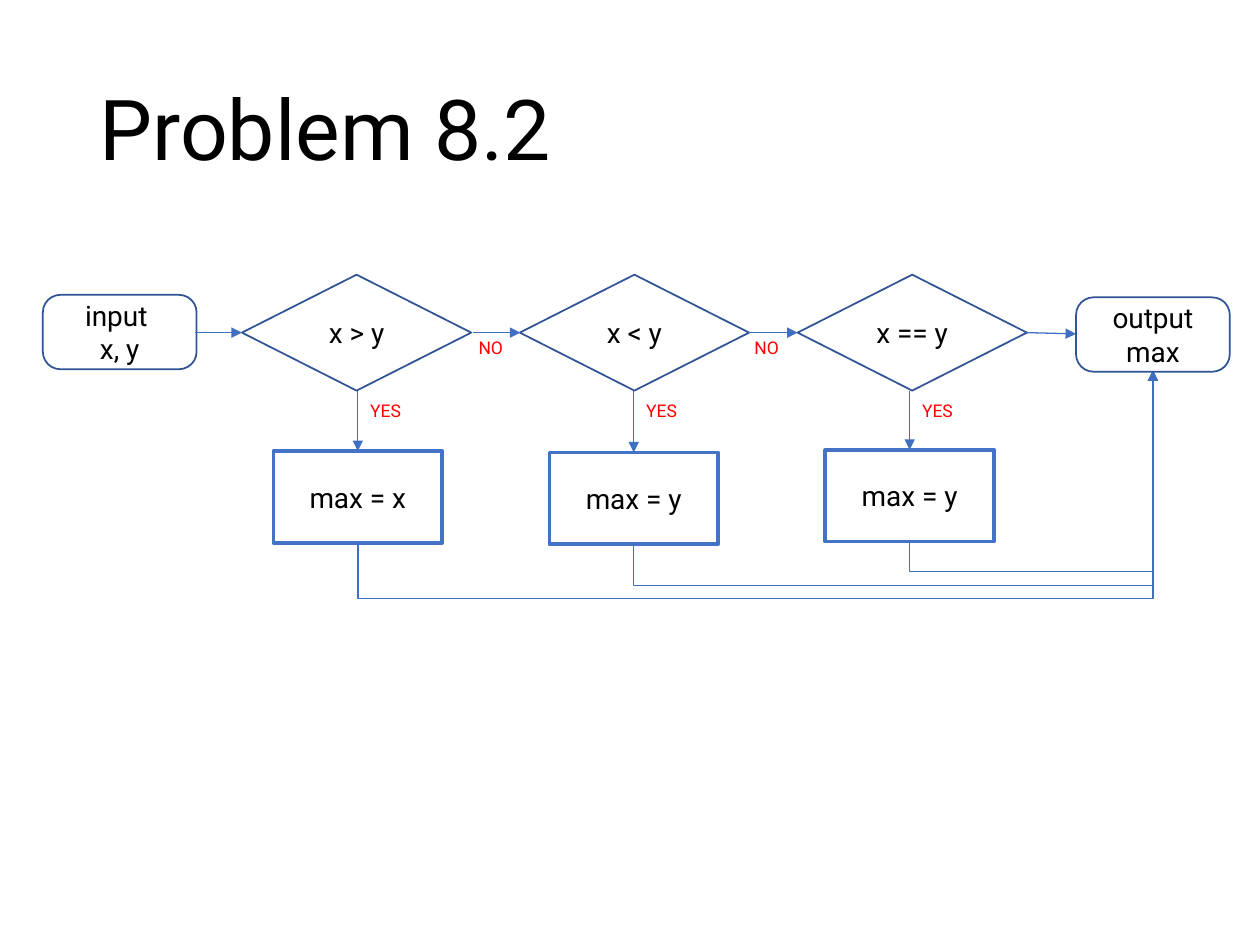
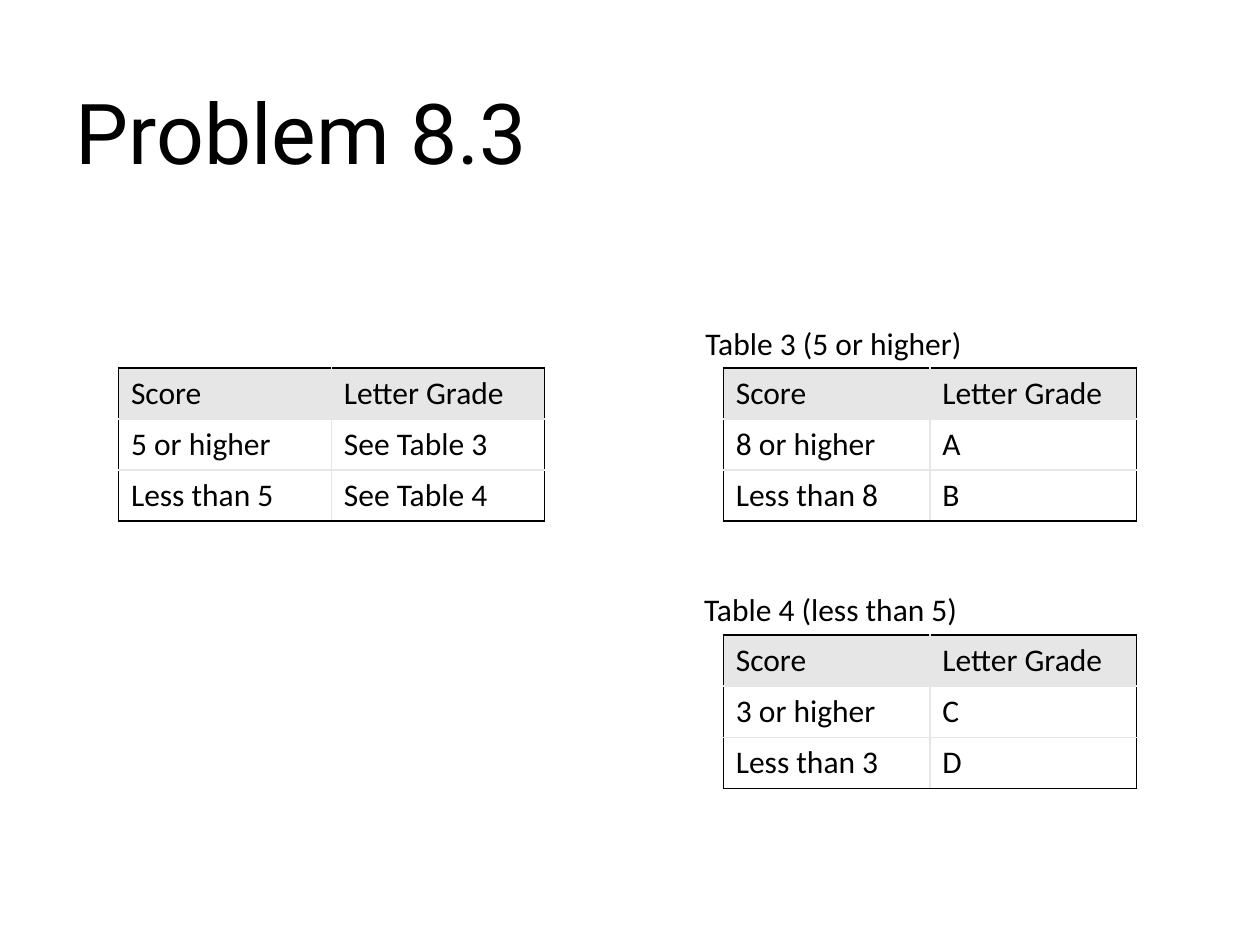
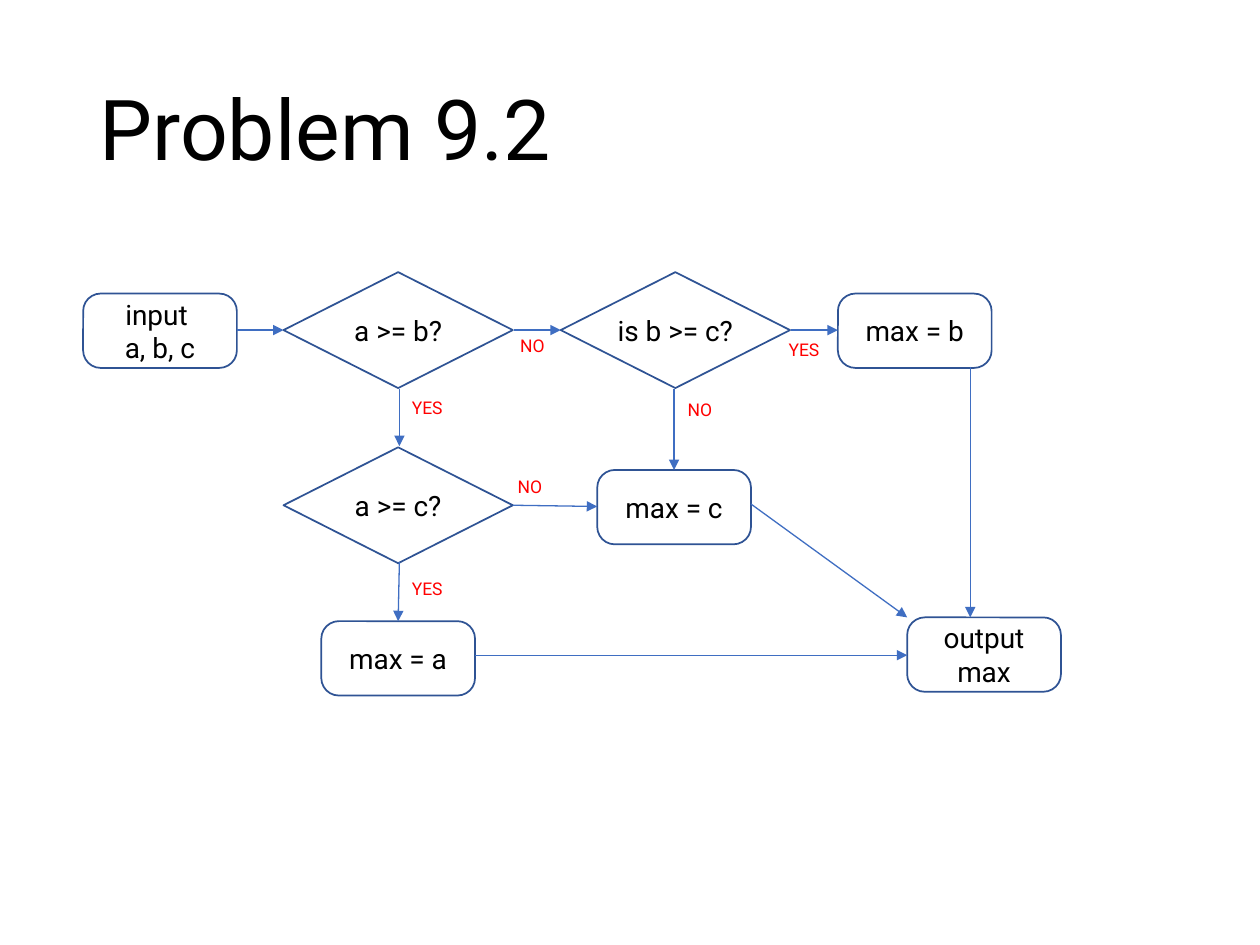
from dataclasses import dataclass
from typing import NamedTuple, Optional

from lxml import etree
from pptx import Presentation
from pptx.dml.color import RGBColor
from pptx.enum import shapes, text
from pptx.oxml.ns import qn
from pptx.util import Emu, Inches, Pt

BLACK, WHITE, RED, GREY = "000000", "FFFFFF", "FF0000", "E7E6E6"
OUTLINE, ARROW, PROCESS = "2F5394", "3F6EC2", "4472C4"
HEAD_FONT, TABLE_FONT = "Roboto", "Calibri"
MID, TOP, BOTTOM = (text.MSO_ANCHOR.MIDDLE, text.MSO_ANCHOR.TOP,
                    text.MSO_ANCHOR.BOTTOM)
LEFT, CENTER = text.PP_ALIGN.LEFT, text.PP_ALIGN.CENTER


@dataclass(frozen=True)
class Style:
    """Look of one kind of flowchart node."""
    preset: shapes.MSO_SHAPE
    width: float
    height: float
    line: str
    weight: float
    fill: Optional[str] = WHITE
    wrap: bool = True


DECISION = Style(shapes.MSO_SHAPE.DIAMOND, 1.82, 0.92, OUTLINE, 1, wrap=False)
ROUNDED = Style(shapes.MSO_SHAPE.ROUNDED_RECTANGLE, 1.22, 0.59, OUTLINE, 1)
STEP = Style(shapes.MSO_SHAPE.RECTANGLE, 1.34, 0.73, PROCESS, 2, fill=None)


class Node(NamedTuple):
    style: Style
    words: str
    x: float
    y: float


class Label(NamedTuple):
    words: str
    x: float
    y: float


class Arrow(NamedTuple):
    x1: float
    y1: float
    x2: float
    y2: float


class Grades(NamedTuple):
    x: float
    y: float
    col_width: float
    rows: list


# Shared helpers
def rgb(value: str) -> RGBColor:
    return RGBColor.from_string(value)


def put_text(tf, words: str, *, size=16, font=HEAD_FONT, color=BLACK,
             align=CENTER, anchor=MID, inset=(0.03, 0.03), wrap=True,
             spacing=None) -> None:
    tf.auto_size = text.MSO_AUTO_SIZE.NONE
    tf.word_wrap = wrap
    tf.vertical_anchor = anchor
    tf.margin_left = tf.margin_right = Inches(inset[0])
    tf.margin_top = tf.margin_bottom = Inches(inset[1])
    fill_paragraphs(tf, words, size, font, color, align, spacing)


def fill_paragraphs(tf, words, size, font, color, align, spacing=None) -> None:
    for i, line in enumerate(words.split("\n")):
        p = tf.add_paragraph() if i else tf.paragraphs[0]
        p.alignment = align
        if spacing:
            p.line_spacing = spacing
        r = p.add_run()
        r.text = line
        r.font.size, r.font.name = Pt(size), font
        r.font.bold = False
        r.font.color.rgb = rgb(color)


def add_slide(prs, title: str, box=(0.69, 0.4, 8.62, 1.07), anchor=BOTTOM,
              spacing=0.9):
    s = prs.slides.add_slide(prs.slide_layouts[5])
    sp = s.shapes.title
    sp.left, sp.top, sp.width, sp.height = map(Inches, box)
    put_text(sp.text_frame, title, size=48, align=LEFT, anchor=anchor,
             inset=(0.1, 0.05), spacing=spacing)
    return s


# Flowchart parts
def add_node(s, node: Node) -> None:
    st = node.style
    sp = s.shapes.add_shape(st.preset, *map(Inches, (node.x, node.y, st.width, st.height)))
    sp.shadow.inherit = False
    if st is ROUNDED:
        sp.adjustments[0] = 0.236
    if st.fill:
        sp.fill.solid()
        sp.fill.fore_color.rgb = rgb(st.fill)
    else:
        sp.fill.background()
    sp.line.color.rgb, sp.line.width = rgb(st.line), Pt(st.weight)
    put_text(sp.text_frame, node.words, wrap=st.wrap)


def add_label(s, label: Label) -> None:
    width = 0.32 if label.words == "YES" else 0.27
    sp = s.shapes.add_textbox(*map(Inches, (label.x, label.y, width, 0.22)))
    put_text(sp.text_frame, label.words, size=10, color=RED, wrap=False)


def add_arrow(s, a: Arrow, kind=shapes.MSO_CONNECTOR.STRAIGHT):
    c = s.shapes.add_connector(kind, *map(Inches, a))
    c.line.color.rgb, c.line.width = rgb(ARROW), Pt(0.75)
    etree.SubElement(c.line._get_or_add_ln(), qn("a:tailEnd"), type="triangle")
    etree.SubElement(c._element.spPr, qn("a:effectLst"))
    return c


def add_return(s, a: Arrow, bus: float) -> None:
    """Elbow that drops to the bus line, runs right and climbs to its end."""
    cx, cy = (a.x1 + a.x2) / 2, (a.y1 + a.y2) / 2
    half_w, half_h = (a.y1 - a.y2) / 2, (a.x2 - a.x1) / 2
    # The box is laid out sideways, then turned a quarter
    turned = Arrow(cx + half_w, cy + half_h, cx - half_w, cy - half_h)
    c = add_arrow(s, turned, shapes.MSO_CONNECTOR.ELBOW)
    sp_pr = c._element.spPr
    sp_pr.find(qn("a:xfrm")).set("rot", "5400000")
    geom = sp_pr.find(qn("a:prstGeom"))
    av = geom.find(qn("a:avLst"))
    if av is None:
        av = etree.SubElement(geom, qn("a:avLst"))
    drop = round(-(bus - a.y1) / (a.y1 - a.y2) * 100000)
    etree.SubElement(av, qn("a:gd"), name="adj1", fmla=f"val {drop}")


def draw_flow(s, nodes: list, labels: list, arrows: list) -> None:
    for draw, items in ((add_node, nodes), (add_label, labels), (add_arrow, arrows)):
        for item in items:
            draw(s, item)


# Table parts
def set_borders(cell, colors: dict) -> None:
    tc_pr = cell._tc.get_or_add_tcPr()
    for i, side in enumerate("LRTB"):
        ln = etree.Element(qn(f"a:ln{side}"), w=str(Pt(0.96)))
        fill = etree.SubElement(ln, qn("a:solidFill"))
        etree.SubElement(fill, qn("a:srgbClr"), val=colors[side])
        tc_pr.insert(i, ln)


def add_grades(s, g: Grades) -> None:
    n_rows, n_cols = len(g.rows), len(g.rows[0])
    row_h = 0.4
    tbl = s.shapes.add_table(n_rows, n_cols, *map(
        Inches, (g.x, g.y, g.col_width * n_cols, row_h * n_rows))).table
    tbl.first_row = tbl.horz_banding = False
    for col in tbl.columns:
        col.width = Inches(g.col_width)
    for i, row in enumerate(g.rows):
        for j, words in enumerate(row):
            cell = tbl.cell(i, j)
            if i == 0:
                cell.fill.solid()
                cell.fill.fore_color.rgb = rgb(GREY)
            else:
                cell.fill.background()
            edges = {"L": j == 0, "R": j == n_cols - 1, "T": i == 0, "B": i == n_rows - 1}
            set_borders(cell, {k: BLACK if outer else GREY for k, outer in edges.items()})
            fill_paragraphs(cell.text_frame, words, 18, TABLE_FONT, BLACK, LEFT)


def add_caption(s, words: str, x: float, y: float) -> None:
    sp = s.shapes.add_textbox(*map(Inches, (x, y, 2.73, 0.4)))
    put_text(sp.text_frame, words, size=18, font=TABLE_FONT, align=LEFT,
             anchor=TOP, inset=(0.1, 0.05))


prs = Presentation()
prs.slide_width, prs.slide_height = Inches(10), Inches(7.5)

# Slide 1: larger of two numbers
s = add_slide(prs, "Problem 8.2")
PITCH = 2.19
nodes = [Node(ROUNDED, "input \nx, y", 0.34, 2.34),
         Node(ROUNDED, "output max", 8.54, 2.36)]
labels = [Label("NO", 3.76 + i * PITCH, 2.65) for i in range(2)]
arrows = [Arrow(1.55, 2.64, 1.92, 2.64), Arrow(3.75, 2.64, 4.13, 2.64),
          Arrow(5.94, 2.64, 6.33, 2.64), Arrow(8.15, 2.64, 8.54, 2.65)]
branches = [("x > y", "max = x", 3.58), ("x < y", "max = y", 3.59),
            ("x == y", "max = y", 3.57)]
for i, (test, result, top) in enumerate(branches):
    mid = 2.84 + i * PITCH
    nodes += [Node(DECISION, test, 1.92 + i * 2.205, 2.18),
              Node(STEP, result, mid - STEP.width / 2, top)]
    labels.append(Label("YES", mid + 0.06, 3.15))
    arrows.append(Arrow(mid, 3.1, mid, top))
    add_return(s, Arrow(mid, top + STEP.height, 9.15, 2.94), 4.75 - i * 0.105)
draw_flow(s, nodes, labels, arrows)

# Slide 2: nested grade tables
s = add_slide(prs, "Problem 8.3", (0.5, 0.59, 4.19, 0.87), TOP, None)
HEADER = ("Score", "Letter Grade")
for grades in (
    Grades(0.94, 2.92, 1.69, [HEADER, ("5 or higher", "See Table 3"),
                              ("Less than 5", "See Table 4")]),
    Grades(5.74, 2.92, 1.64, [HEADER, ("8 or higher", "A"), ("Less than 8", "B")]),
    Grades(5.74, 5.04, 1.64, [HEADER, ("3 or higher", "C"), ("Less than 3", "D")]),
):
    add_grades(s, grades)
add_caption(s, "Table 3 (5 or higher)", 5.5, 2.52)
add_caption(s, "Table 4 (less than 5)", 5.49, 4.63)

# Slide 3: largest of three numbers
s = add_slide(prs, "Problem 9.2")
draw_flow(
    s,
    [Node(ROUNDED, "input \na, b, c", 0.66, 2.33),
     Node(DECISION, "a >= b?", 2.25, 2.16),
     Node(DECISION, "is b >= c?", 4.45, 2.16),
     Node(ROUNDED, "max = b", 6.65, 2.33),
     Node(DECISION, "a >= c?", 2.25, 3.55),
     Node(ROUNDED, "max = c", 4.74, 3.73),
     Node(ROUNDED, "max = a", 2.55, 4.93),
     Node(ROUNDED, "output max", 7.2, 4.9)],
    [Label("YES", 3.23, 3.12), Label("YES", 6.22, 2.66), Label("YES", 3.23, 4.56),
     Label("NO", 4.09, 2.63), Label("NO", 4.07, 3.75), Label("NO", 5.42, 3.14)],
    [Arrow(1.88, 2.62, 2.25, 2.62), Arrow(4.08, 2.62, 4.45, 2.62),
     Arrow(6.28, 2.62, 6.65, 2.62), Arrow(3.17, 3.09, 3.17, 3.54),
     Arrow(3.17, 4.46, 3.16, 4.93), Arrow(4.07, 4.01, 4.74, 4.02),
     Arrow(5.35, 3.09, 5.35, 3.73), Arrow(3.77, 5.2, 7.2, 5.2),
     Arrow(5.96, 4, 7.2, 4.9), Arrow(7.7, 2.91, 7.7, 4.9)],
)

prs.save("out.pptx")
